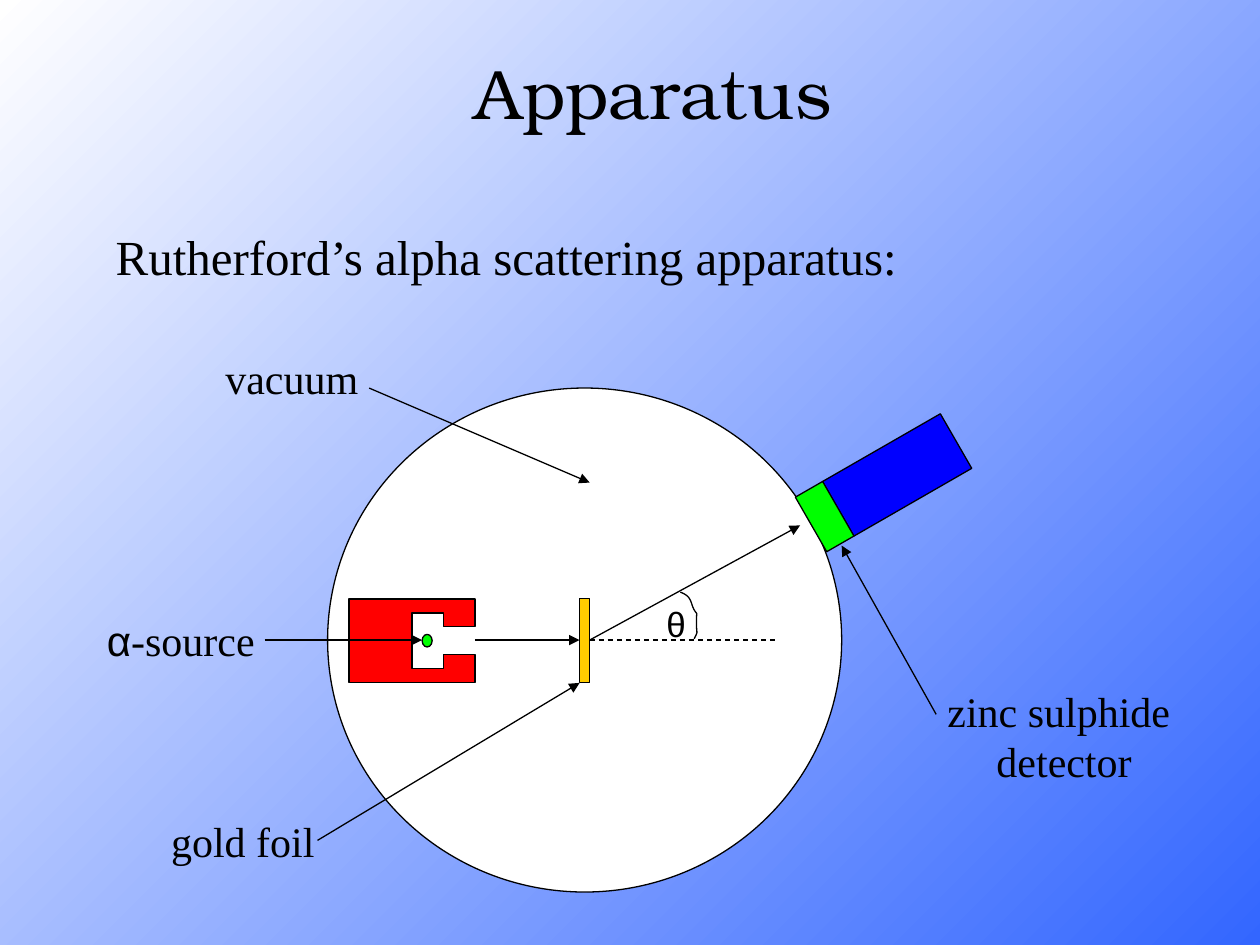
from lxml.etree import SubElement
from pptx import Presentation
from pptx.dml.color import RGBColor
from pptx.enum.dml import MSO_LINE
from pptx.enum.shapes import MSO_CONNECTOR, MSO_SHAPE
from pptx.enum.text import MSO_AUTO_SIZE, PP_ALIGN
from pptx.oxml.ns import qn
from pptx.util import Inches, Pt

COLORS = {
    "black": "000000",
    "white": "FFFFFF",
    "sky": "3366FF",
    "tube": "0000FF",
    "green": "00FF00",
    "red": "FF0000",
    "gold": "FFCC00",
}
SERIF = "Times New Roman"
SANS = "Arial"
TITLE_FONT = "TeX Gyre Bonum"


def color(name):
    return RGBColor.from_string(COLORS[name])


def add_text(slide, box, text, size=24, font=SERIF, align=PP_ALIGN.LEFT, wrap=False, symbol=""):
    shape = slide.shapes.add_textbox(*map(Inches, box))
    frame = shape.text_frame
    frame.word_wrap = wrap
    frame.auto_size = MSO_AUTO_SIZE.SHAPE_TO_FIT_TEXT
    for index, line in enumerate(text.split("\n")):
        paragraph = frame.paragraphs[0] if index == 0 else frame.add_paragraph()
        paragraph.alignment = align
        for content, face in ((symbol, SANS), (line, font)):
            if content:
                run = paragraph.add_run()
                run.text = content
                run.font.name = face
                run.font.size = Pt(size)
                run.font.color.rgb = color("black")


def outline(shape, fill=None):
    shape.shadow.inherit = False
    if fill:
        shape.fill.solid()
        shape.fill.fore_color.rgb = color(fill)
    else:
        shape.fill.background()
    shape.line.color.rgb = color("black")
    shape.line.width = Pt(0.75)


def add_part(slide, kind, box, fill, rotation=0):
    shape = slide.shapes.add_shape(kind, *map(Inches, box))
    shape.rotation = rotation
    outline(shape, fill)


def add_outline(slide, points, fill=None):
    start, *rest = [(Inches(x), Inches(y)) for x, y in points]
    builder = slide.shapes.build_freeform(*start)
    builder.add_line_segments(rest, close=fill is not None)
    outline(builder.convert_to_shape(), fill)


def add_line(slide, start, end, dashed=False):
    connector = slide.shapes.add_connector(MSO_CONNECTOR.STRAIGHT, *map(Inches, (*start, *end)))
    connector.line.color.rgb = color("black")
    connector.line.width = Pt(0.75)
    properties = connector.line._get_or_add_ln()
    if dashed:
        connector.line.dash_style = MSO_LINE.DASH
    else:
        SubElement(properties, qn("a:tailEnd"), type="triangle")
    SubElement(connector._element.spPr, qn("a:effectLst"))


def curve_points(start, first, second, end, steps=12):
    for step in range(1, steps + 1):
        t = step / steps
        weights = ((1 - t) ** 3, 3 * t * (1 - t) ** 2, 3 * t * t * (1 - t), t**3)
        yield tuple(
            sum(weight * value for weight, value in zip(weights, axis))
            for axis in zip(start, first, second, end)
        )


def paint_background(slide):
    fill = slide.background.fill
    fill.gradient()
    fill.gradient_angle = 135
    for stop, name in zip(fill.gradient_stops, ("sky", "white")):
        stop.color.rgb = color(name)


def add_heading(slide, left, top):
    add_text(slide, (left + 2.85, top, 3.03, 0.77), "Apparatus", size=40, font=TITLE_FONT)
    add_text(slide, (left, top + 1.41, 8.43, 0.57), "Rutherford’s alpha scattering apparatus:",
             size=28, align=PP_ALIGN.JUSTIFY, wrap=True)


def add_detector(slide, left, top):
    add_part(slide, MSO_SHAPE.RECTANGLE, (left + 0.16, top, 1.08, 0.5), "tube", 330.1)
    add_part(slide, MSO_SHAPE.RECTANGLE, (left, top + 0.33, 0.25, 0.5), "green", 330.1)


def add_source(slide, left, top, width, height):
    right, middle = left + width, top + height / 2
    upper = [(right, 0.33), (left, 0.33)]
    lower = [(left, 0.33), (right, 0.33), (right, 0.11), (left + 0.75, 0.11),
             (left + 0.75, 0.22), (left + 0.5, 0.22)]
    cavity = [(left + 0.5, 0.22), (left + 0.75, 0.22), (left + 0.75, 0.11), (right, 0.11)]
    points = [(x, middle - y) for x, y in upper]
    points += [(x, middle + y) for x, y in lower]
    points += [(x, middle - y) for x, y in cavity]
    add_outline(slide, points, "red")
    add_part(slide, MSO_SHAPE.OVAL, (left + 0.58, middle - 0.05, 0.08, 0.1), "green")


def add_angle(slide, left, top):
    start, middle, end = (left, top), (left + 0.13, top + 0.17), (left + 0.11, top + 0.37)
    arc = [start]
    arc += curve_points(start, (left + 0.11, top + 0.04), (left + 0.07, top + 0.1), middle)
    arc += curve_points(middle, (left + 0.12, top + 0.36), (left + 0.15, top + 0.29), end)
    add_outline(slide, arc)
    add_text(slide, (left - 0.21, top + 0.03, 0.34, 0.44), "θ", size=20, font=SANS)


def add_chamber(slide, left, top, width, height):
    axis = top + height / 2
    foil_left, foil_right = left + 2, left + 2.08
    add_part(slide, MSO_SHAPE.OVAL, (left, top, width, height), "white")
    add_detector(slide, left + 3.82, top + 0.44)
    add_source(slide, left + 0.17, axis - 0.33, 1, 0.67)
    add_part(slide, MSO_SHAPE.RECTANGLE, (foil_left, axis - 0.33, 0.08, 0.67), "gold")
    add_line(slide, (left + 1.17, axis), (foil_left, axis))
    add_line(slide, (foil_right, axis), (foil_right + 1.5, axis), dashed=True)
    add_line(slide, (foil_right, axis), (foil_right + 1.67, axis - 0.91))
    add_angle(slide, left + 2.8, axis - 0.38)


def add_labels(slide, left, top):
    labels = [
        ((0, 2.08, 1.41, 0.5), "-source", "α", (1.35, 2.33), (2.6, 2.33)),
        ((0.94, 0, 1.3, 0.5), "vacuum", "", (2.18, 0.33), (3.93, 1.08)),
        ((0.51, 3.67, 1.36, 0.5), "gold foil", "", (1.77, 3.92), (3.85, 2.67)),
        ((6.67, 2.64, 2.05, 0.9), "zinc sulphide \ndetector", "", (6.68, 2.92), (5.93, 1.58)),
    ]
    for (x, y, width, height), text, symbol, start, end in labels:
        align = PP_ALIGN.CENTER if "\n" in text else PP_ALIGN.LEFT
        add_text(slide, (left + x, top + y, width, height), text, symbol=symbol, align=align)
        add_line(slide, (left + start[0], top + start[1]), (left + end[0], top + end[1]))


def main():
    presentation = Presentation()
    presentation.slide_width = Inches(10)
    presentation.slide_height = Inches(7.5)
    slide = presentation.slides.add_slide(presentation.slide_layouts[6])
    paint_background(slide)
    add_heading(slide, 0.82, 0.34)
    add_chamber(slide, 2.6, 3.08, 4.08, 4)
    add_labels(slide, 0.75, 2.75)
    presentation.save("out.pptx")


if __name__ == "__main__":
    main()
